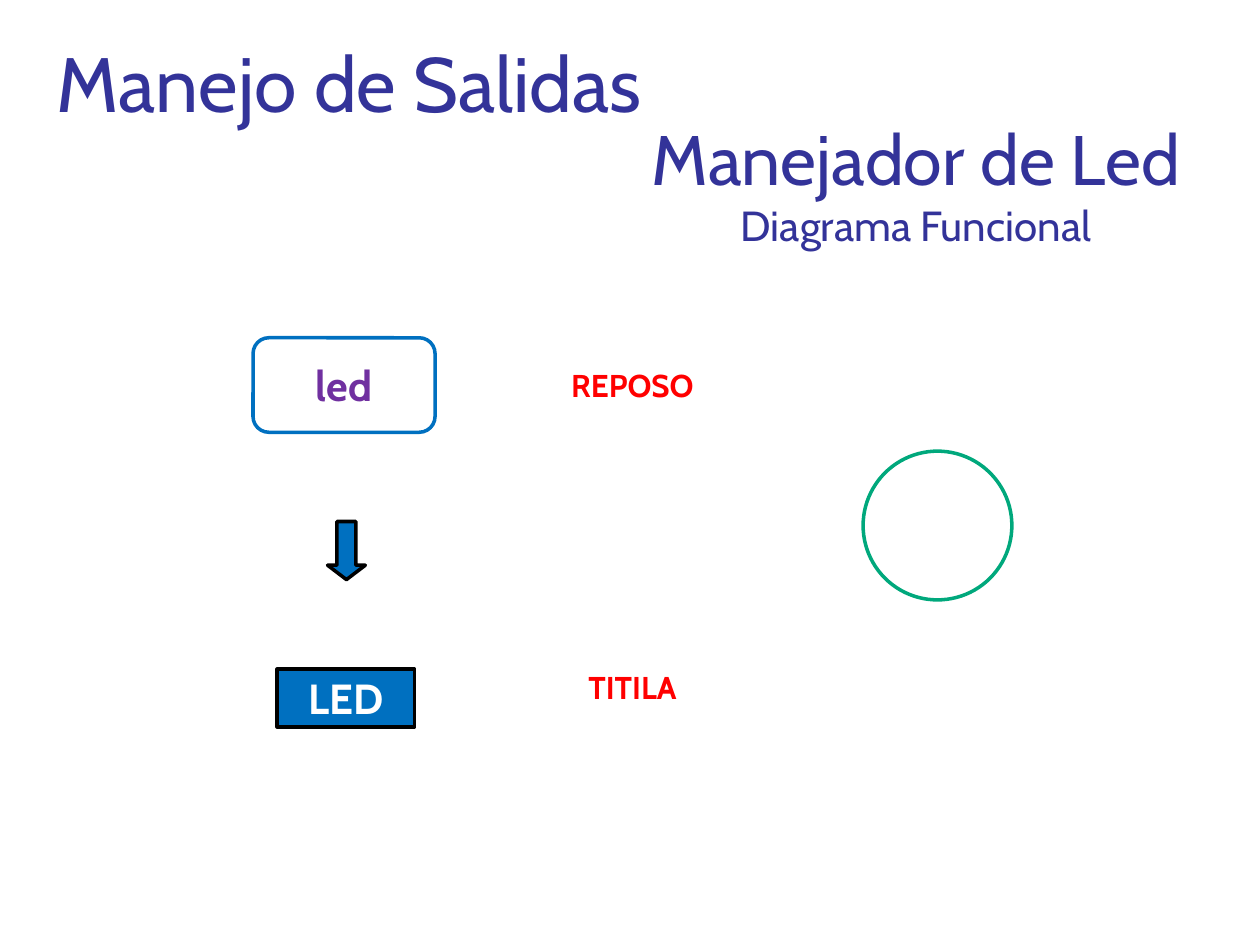
"""Builds the slide on output handling: the LED handler's functional diagram."""
import dataclasses

import pptx
import pptx.dml.color
import pptx.enum.shapes
import pptx.enum.text
import pptx.util

Pt = pptx.util.Pt
RGB = pptx.dml.color.RGBColor.from_string
SHAPE = pptx.enum.shapes.MSO_SHAPE
ALIGN = pptx.enum.text.PP_ALIGN
MIDDLE = pptx.enum.text.MSO_ANCHOR.MIDDLE


@dataclasses.dataclass(frozen=True)
class Theme:
    font: str = "Cabin"
    heading: str = "333399"
    blue: str = "0070C0"
    purple: str = "7030A0"
    red: str = "FF0000"
    green: str = "00A87C"
    black: str = "000000"
    white: str = "FFFFFF"
    title_size: int = 44
    handler_size: int = 40
    label_size: int = 24
    state_size: int = 18
    outline: int = 2


theme = Theme()


def style_text(paragraph, size, color, align, bold=False):
    paragraph.alignment = align
    paragraph.font.name = theme.font
    paragraph.font.size = Pt(size)
    paragraph.font.bold = bold
    paragraph.font.color.rgb = RGB(color)


def add_block(kind, box, fill=None, outline=None):
    block = slide.shapes.add_shape(kind, *map(Pt, box))
    block.shadow.inherit = False
    if fill:
        block.fill.solid()
        block.fill.fore_color.rgb = RGB(fill)
    else:
        block.fill.background()
    if outline:
        block.line.color.rgb = RGB(outline)
        block.line.width = Pt(theme.outline)
    else:
        block.line.fill.background()
    return block


deck = pptx.Presentation()
deck.slide_width, deck.slide_height = Pt(720), Pt(540)
slide = deck.slides.add_slide(deck.slide_layouts[6])

handler = slide.shapes.add_textbox(Pt(338.4), Pt(62.6), Pt(370), Pt(90.7)).text_frame
handler.word_wrap = True
heading = handler.paragraphs[0]
style_text(heading, theme.handler_size, theme.heading, ALIGN.CENTER)
heading.add_run().text = "Manejador de Led"
heading.add_line_break()
subtitle = heading.add_run()
subtitle.text = "Diagrama Funcional"
subtitle.font.size = Pt(theme.label_size)

arrow = add_block(SHAPE.DOWN_ARROW, (187.2, 298, 21.6, 33.2), theme.blue, theme.black)
arrow.adjustments[1] = 0.38

labels = [
    ("LED", SHAPE.RECTANGLE, (158.4, 382.4, 78.5, 33), theme.blue, theme.black,
     theme.label_size, theme.white),
    ("led", SHAPE.ROUNDED_RECTANGLE, (144.6, 193, 104, 54), None, theme.blue,
     theme.label_size, theme.purple),
    ("REPOSO", SHAPE.ROUNDED_RECTANGLE, (306, 198.7, 110.9, 42.5), None, None,
     theme.state_size, theme.red),
    ("TITILA", SHAPE.ROUNDED_RECTANGLE, (306, 371.5, 110.9, 42.5), None, None,
     theme.state_size, theme.red),
]
for wording, kind, box, fill, outline, size, color in labels:
    label = add_block(kind, box, fill, outline).text_frame
    label.vertical_anchor = MIDDLE
    label.text = wording
    style_text(label.paragraphs[0], size, color, ALIGN.CENTER, bold=True)

add_block(SHAPE.OVAL, (493.2, 257.8, 85, 85), theme.white, theme.green)

title = slide.shapes.add_textbox(Pt(25.2), Pt(16.6), Pt(613.4), Pt(62.6)).text_frame
title.word_wrap = True
title.text = "Manejo de Salidas"
style_text(title.paragraphs[0], theme.title_size, theme.heading, ALIGN.LEFT)

deck.save("out.pptx")
